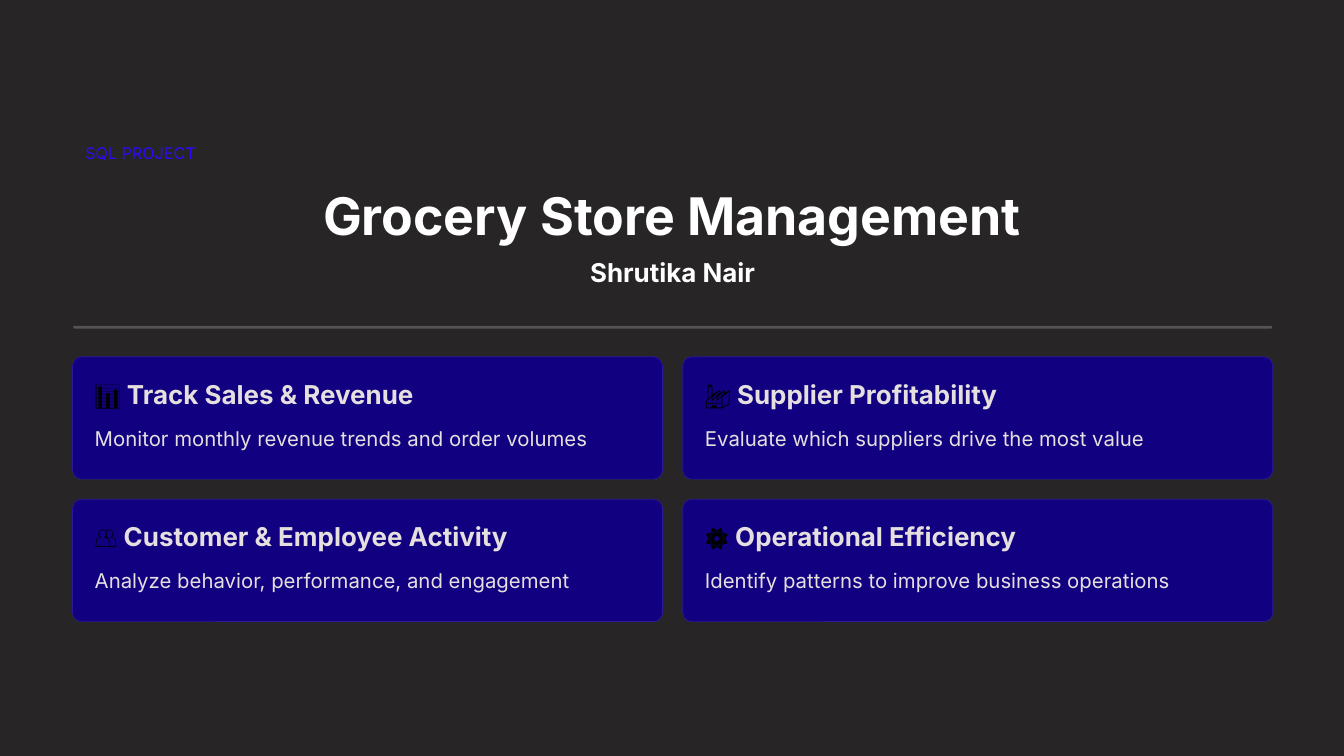
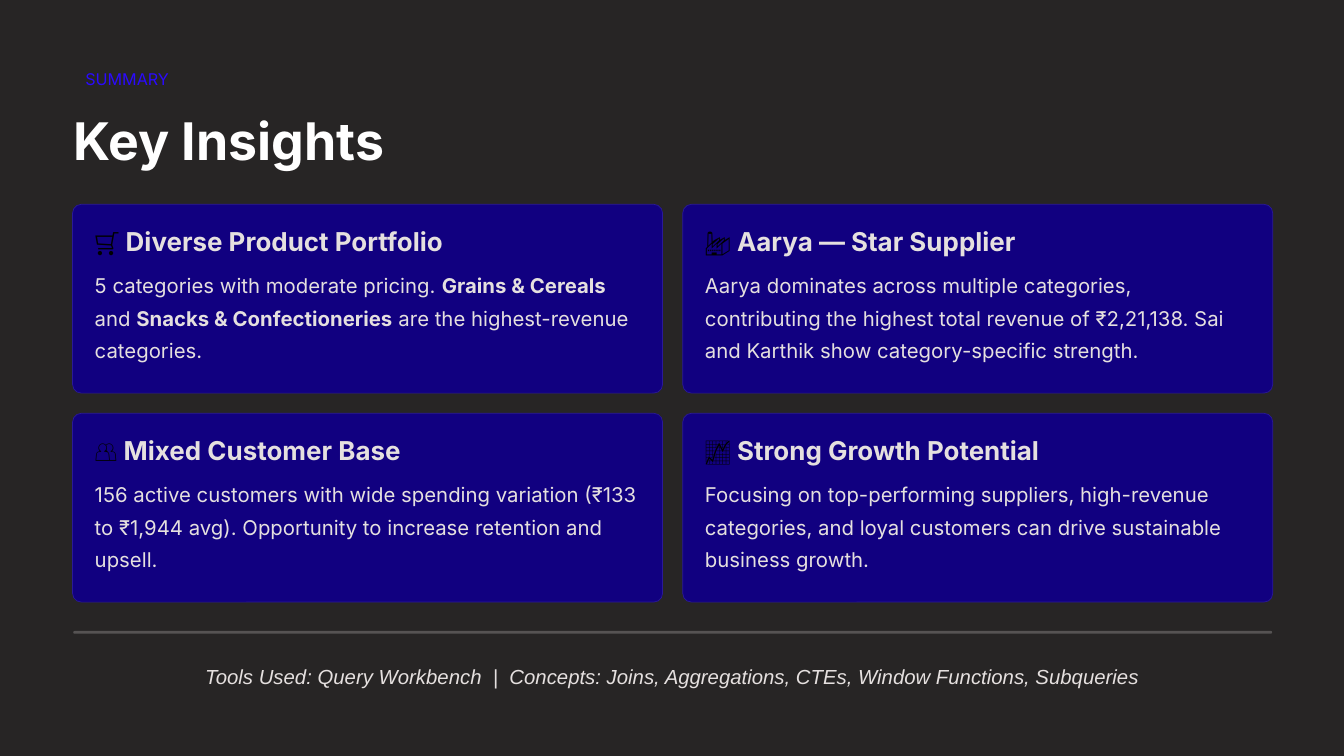
from lxml import etree
from pptx import Presentation
from pptx import util as u
from pptx.dml.color import RGBColor
from pptx.enum import shapes, text
from pptx.oxml import ns

PX = u.Inches(1) // 100  # 100 px to the inch
COLORS = {
    "page": "272525",
    "label": "2B0AFF",
    "title": "FFFFFF",
    "body": "E5E0DF",
    "icon": "000000",
    "card": "110080",
    "edge": "2A1999",
}
LEFT, CARD_W, GAP, RADIUS = 108, 878, 30, 13


def rgb(name):
    return RGBColor.from_string(COLORS[name])


# Element builders
def add_text(s, x, y, w, h, content, size=21.8, line=34.7, color="body",
             font="Inter", bold=False, italic=False, align="LEFT"):
    """Add one paragraph; content is a string or (text, overrides) pairs."""
    tf = s.shapes.add_textbox(x * PX, y * PX, w * PX, h * PX).text_frame
    tf.word_wrap = True
    tf.margin_left = tf.margin_right = tf.margin_top = tf.margin_bottom = 0
    p = tf.paragraphs[0]
    p.alignment = getattr(text.PP_ALIGN, align)
    p.line_spacing = u.Pt(line)
    for words, own in [(content, {})] if isinstance(content, str) else content:
        r = p.add_run()
        r.text = words
        r.font.name, r.font.size = font, u.Pt(size)
        r.font.bold = own.get("bold", bold)
        r.font.italic = italic
        r.font.color.rgb = rgb(own.get("color", color))


def add_panel(s, x, y, w, h, radius, fill, edge=None, opacity=100):
    sp = s.shapes.add_shape(shapes.MSO_SHAPE.ROUNDED_RECTANGLE,
                            x * PX, y * PX, w * PX, h * PX)
    sp.shadow.inherit = False
    sp.adjustments[0] = radius / min(w, h)
    sp.fill.solid()
    sp.fill.fore_color.rgb = rgb(fill)
    if opacity < 100:
        clr = sp.fill._xPr.find(".//" + ns.qn("a:srgbClr"))
        etree.SubElement(clr, ns.qn("a:alpha"), val=str(opacity * 1000))
    if edge:
        sp.line.color.rgb = rgb(edge)
        sp.line.width = u.Pt(0.75)
    else:
        sp.line.fill.background()


def add_label(s, y, words):
    add_text(s, 127, y, 270, 47, words, size=17.3, line=27.6, color="label")


def add_title(s, x, y, w, words, align="LEFT"):
    add_text(s, x, y, w, 100, words, size=55.5, line=69.3, color="title",
             bold=True, align=align)


def add_divider(s, y):
    add_panel(s, 109, y, 1784, 4, 2, "body", opacity=25)


def add_cards(s, top, h, cards):
    """Lay cards out in two columns, row by row."""
    for i, (icon, heading, body) in enumerate(cards):
        row, col = divmod(i, 2)
        x, y = LEFT + col * (CARD_W + GAP), top + row * (h + GAP)
        add_panel(s, x, y, CARD_W, h, RADIUS, "card", edge="edge")
        add_text(s, x + 33, y + 30, 812, 51,
                 [(icon, {"color": "icon"}), (" " + heading, {})],
                 size=27.8, line=34.6, bold=True)
        add_text(s, x + 33, y + 91, 812, h - 124, body)


def new_slide(prs):
    s = prs.slides.add_slide(prs.slide_layouts[6])
    s.background.fill.solid()
    s.background.fill.fore_color.rgb = rgb("page")
    return s


# Slides
def cover_slide(prs):
    s = new_slide(prs)
    add_label(s, 204, "SQL PROJECT")
    add_title(s, 428, 269, 1145, "Grocery Store Management", align="CENTER")
    add_text(s, 757, 380, 488, 51, "Shrutika Nair", size=27.8, line=34.6,
             color="title", bold=True, align="CENTER")
    add_divider(s, 485)
    add_cards(s, 531, 182, [
        ("📊", "Track Sales & Revenue",
         "Monitor monthly revenue trends and order volumes"),
        ("🏭", "Supplier Profitability",
         "Evaluate which suppliers drive the most value"),
        ("👥", "Customer & Employee Activity",
         "Analyze behavior, performance, and engagement"),
        ("⚙️", "Operational Efficiency",
         "Identify patterns to improve business operations"),
    ])


def insights_slide(prs):
    s = new_slide(prs)
    add_label(s, 93, "SUMMARY")
    add_title(s, 109, 158, 876, "Key Insights")
    strong = {"bold": True}
    add_cards(s, 304, 281, [
        ("🛒", "Diverse Product Portfolio",
         [("5 categories with moderate pricing. ", {}),
          ("Grains & Cereals", strong),
          (" and ", {}),
          ("Snacks & Confectioneries", strong),
          (" are the highest-revenue categories.", {})]),
        ("🏭", "Aarya — Star Supplier",
         "Aarya dominates across multiple categories, contributing the "
         "highest total revenue of ₹2,21,138. Sai and Karthik show "
         "category-specific strength."),
        ("👥", "Mixed Customer Base",
         "156 active customers with wide spending variation (₹133 to "
         "₹1,944 avg). Opportunity to increase retention and upsell."),
        ("📈", "Strong Growth Potential",
         "Focusing on top-performing suppliers, high-revenue categories, "
         "and loyal customers can drive sustainable business growth."),
    ])
    add_divider(s, 939)
    add_text(s, 59, 977, 1884, 58,
             "Tools Used: Query Workbench  |  Concepts: Joins, Aggregations, "
             "CTEs, Window Functions, Subqueries",
             font="Arial", italic=True, align="CENTER")


def main():
    prs = Presentation()
    prs.slide_width, prs.slide_height = 2000 * PX, 1125 * PX
    cover_slide(prs)
    insights_slide(prs)
    prs.save("out.pptx")


if __name__ == "__main__":
    main()
